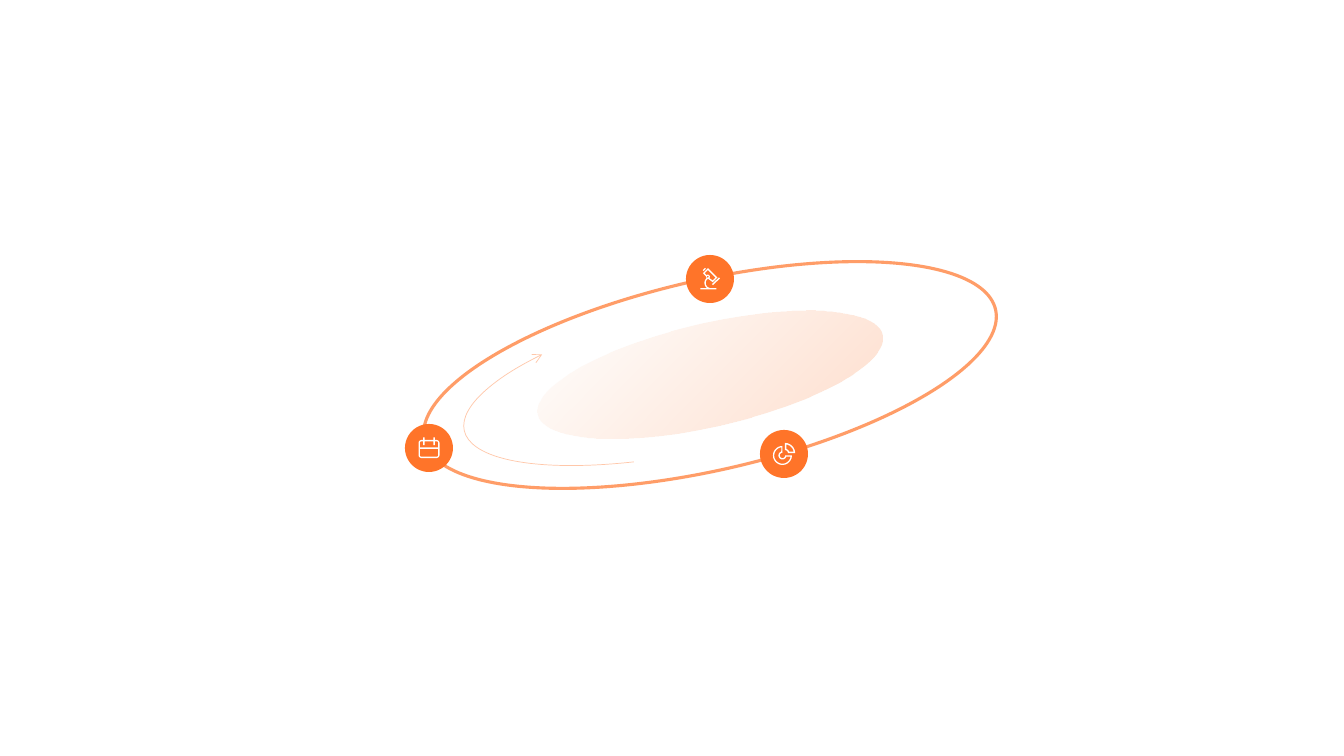
from math import cos, radians, sin

from lxml.etree import SubElement
from pptx import Presentation
from pptx.dml.color import RGBColor
from pptx.enum.shapes import MSO_SHAPE as Shape
from pptx.oxml import parse_xml
from pptx.oxml.ns import nsdecls, qn
from pptx.util import Pt

PX = 914400 / 100.8
ORANGE, PEACH, WHITE = "FF7429", "FFAC7F", "FFFFFF"
TILT = 347.1
BADGE = 48


def emu(px):
    return round(px * PX)


def color(value):
    return RGBColor.from_string(value)


def arc(cx, cy, radius, start, end, steps=12):
    """Return points along a circular arc, in degrees clockwise from the right."""
    angles = [radians(start + (end - start) * i / steps) for i in range(steps + 1)]
    return [(round(cx + radius * cos(a)), round(cy + radius * sin(a))) for a in angles]


def calendar_top(radius, tip):
    """Return the top edge of the calendar, with both binder pins ending at tip."""
    edge = -50 - radius
    pins = [(x, y) for left in (-58, 45)
            for x, y in ((left, edge), (left, tip), (left + 13, tip), (left + 13, edge))]
    return arc(-75, -50, radius, 180, 270) + pins + arc(75, -50, radius, 270, 360)


def calendar_bottom(radius):
    return arc(75, 70, radius, 0, 90) + arc(-75, 70, radius, 90, 180)


CALENDAR = [
    calendar_top(30, -105) + calendar_bottom(30),
    calendar_top(17, -28) + [(92, -5), (-92, -5)],
    [(-92, 8), (92, 8)] + calendar_bottom(17),
]
PIE = [
    arc(-15, 15, 95, 0, 270, 36) + arc(-15, 15, 27, 270, 0, 24),
    arc(-15, 15, 82, 8, 262, 36) + arc(-15, 15, 40, 253, 17, 24),
    arc(10, -8, 102, 270, 360) + arc(10, -8, 30, 360, 270),
    arc(10, -8, 88, 279, 351) + arc(10, -8, 44, 342, 288),
]
MICROSCOPE = [
    arc(10, 40, 52, 90, 235) + [(27, 32), (75, -14), (-20, -108), (-70, -58), (-42, -28)]
    + arc(10, 40, 65, 230, 125) + [(-95, 92), (-95, 105), (65, 105), (65, 92)],
    [(-20, -89), (56, -14), (27, 15)] + arc(-22, -22, 21, 40, -130) + [(-52, -58)],
    arc(-22, -22, 9, 0, 360),
    [(90, -15), (100, -5), (30, 62), (20, 52)],
    [(-72, -88), (-50, -110), (-41, -101), (-63, -79)],
]


class OrbitSlide:
    """Draws the parts of an orbit diagram on one slide."""

    def __init__(self, slide):
        self.shapes = slide.shapes

    def add(self, kind, left, top, width, height, tilt=0):
        """Add a preset shape with no fill, line or shadow."""
        shape = self.shapes.add_shape(kind, *map(emu, (left, top, width, height)))
        shape.rotation = tilt
        shape.shadow.inherit = False
        shape.fill.background()
        shape.line.fill.background()
        return shape

    def disc(self, left, top, width, height):
        """Add the tilted disc that fades out from its lower right."""
        disc = self.add(Shape.OVAL, left, top, width, height, TILT)
        properties = disc.fill._xPr
        blank = properties.find(qn("a:noFill"))
        properties.replace(blank, parse_xml(
            f'<a:gradFill {nsdecls("a")} rotWithShape="1"><a:gsLst>'
            f'<a:gs pos="0"><a:srgbClr val="{PEACH}"><a:alpha val="40000"/></a:srgbClr></a:gs>'
            f'<a:gs pos="100000"><a:srgbClr val="{PEACH}"><a:alpha val="0"/></a:srgbClr></a:gs>'
            '</a:gsLst><a:path path="circle"><a:fillToRect l="100000" t="100000"/></a:path>'
            '</a:gradFill>'))

    def orbit(self, kind, box, weight, opacity):
        """Add a tilted, partly transparent outline."""
        orbit = self.add(kind, *box, TILT)
        orbit.line.color.rgb = color(ORANGE)
        orbit.line.width = Pt(weight)
        line = orbit.line._ln
        tint = line.find(".//" + qn("a:srgbClr"))
        SubElement(tint, qn("a:alpha")).set("val", str(opacity * 1000))
        return orbit

    def arrow(self, box, weight, opacity, start, end):
        """Add a tilted arc with an open arrowhead at its end."""
        arrow = self.orbit(Shape.ARC, box, weight, opacity)
        arrow.adjustments[0], arrow.adjustments[1] = start, end
        SubElement(arrow.line._ln, qn("a:tailEnd")).set("type", "arrow")

    def badge(self, x, y, icon):
        """Add a round badge centred on x, y with a white icon in tenths of px."""
        badge = self.add(Shape.OVAL, x - BADGE // 2, y - BADGE // 2, BADGE, BADGE)
        badge.fill.solid()
        badge.fill.fore_color.rgb = color(ORANGE)
        builder = self.shapes.build_freeform(*icon[0][0], scale=PX / 10)
        builder.add_line_segments(icon[0][1:])
        for contour in icon[1:]:
            builder.move_to(*contour[0])
            builder.add_line_segments(contour[1:])
        glyph = builder.convert_to_shape(emu(x), emu(y))
        glyph.shadow.inherit = False
        glyph.fill.solid()
        glyph.fill.fore_color.rgb = color(WHITE)
        glyph.line.fill.background()


def main():
    deck = Presentation()
    deck.slide_width, deck.slide_height = emu(1344), emu(756)
    diagram = OrbitSlide(deck.slides.add_slide(deck.slide_layouts[6]))
    diagram.disc(533, 323, 354, 103)
    diagram.orbit(Shape.OVAL, (417, 280, 586, 190), 2.25, 70)
    diagram.arrow((458, 301, 504, 147), 0.5, 40, 86.34, 119.84)
    for x, y, icon in ((784, 454, PIE), (429, 448, CALENDAR), (710, 279, MICROSCOPE)):
        diagram.badge(x, y, icon)
    deck.save("out.pptx")


if __name__ == "__main__":
    main()
